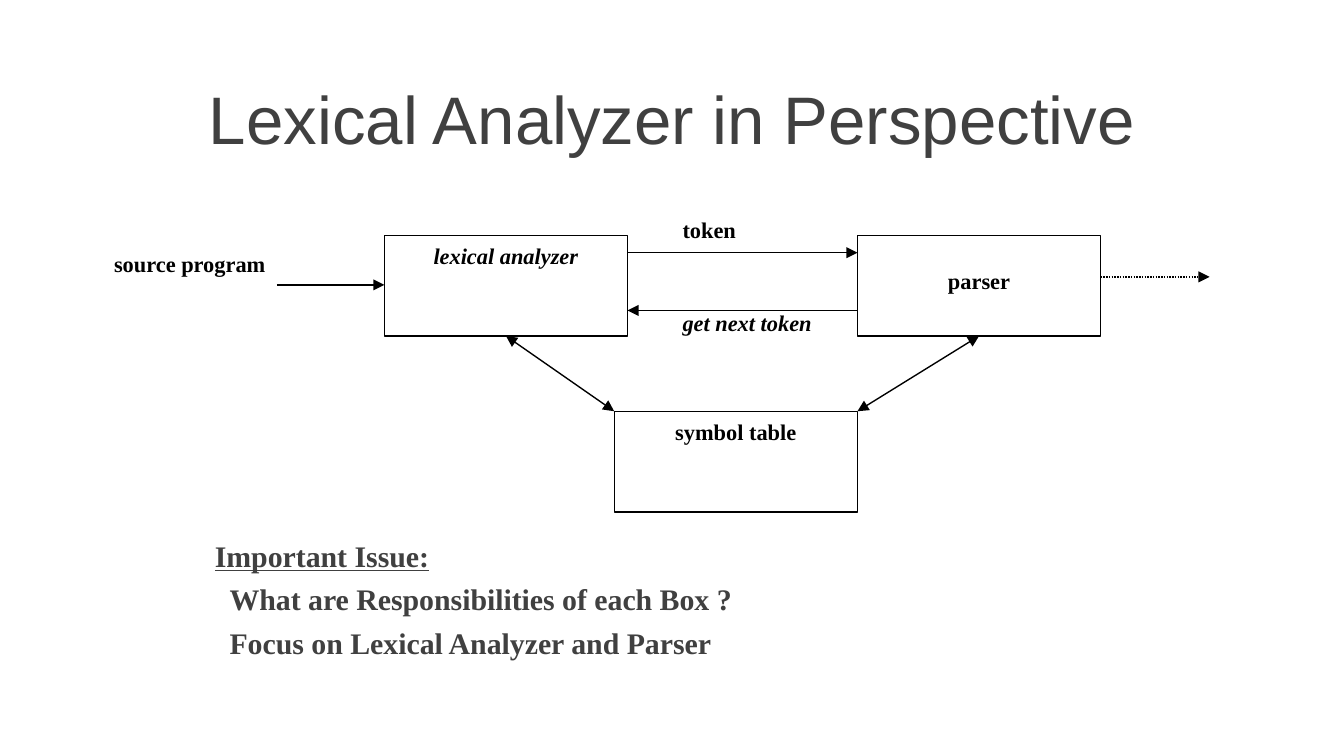
from dataclasses import dataclass

from lxml.etree import SubElement
from pptx import Presentation
from pptx.dml.color import RGBColor
from pptx.enum.dml import MSO_LINE
from pptx.enum.shapes import MSO_CONNECTOR, MSO_SHAPE
from pptx.enum.text import PP_ALIGN
from pptx.oxml.ns import qn
from pptx.slide import Slide
from pptx.util import Inches, Pt

COLORS = {"ink": "000000", "text": "404040"}
BOX_WIDTH, BOX_HEIGHT, LABEL_HEIGHT = 1.81, 0.75, 0.3
LEXER_LEFT, TABLE_LEFT, PARSER_LEFT = 2.86, 4.57, 6.38
TOP_ROW, TABLE_TOP = 1.75, 3.06
LEXER_RIGHT = LEXER_LEFT + BOX_WIDTH
PARSER_RIGHT = PARSER_LEFT + BOX_WIDTH
TOP_ROW_BOTTOM = TOP_ROW + BOX_HEIGHT
LABEL_FONT = {"name": "Times New Roman", "size": Pt(12), "bold": True}
ISSUE_FONT = LABEL_FONT | {"size": Pt(16)}
TITLE_FONT = {"name": "Arial", "size": Pt(36)}


@dataclass(frozen=True)
class Box:
    left: float
    top: float
    label: str
    label_offset: float = 0
    italic: bool = False


@dataclass(frozen=True)
class Label:
    text: str
    left: float
    top: float
    width: float
    italic: bool = False


@dataclass(frozen=True)
class Arrow:
    start: tuple[float, float]
    end: tuple[float, float]
    double: bool = False
    dotted: bool = False


@dataclass(frozen=True)
class Line:
    text: str
    font: dict
    color: str = "ink"
    align: PP_ALIGN = PP_ALIGN.LEFT
    indent: float = 0
    spacing: float = 1
    before: float = 0


BOXES = [
    Box(LEXER_LEFT, TOP_ROW, "lexical analyzer", italic=True),
    Box(PARSER_LEFT, TOP_ROW, "parser", label_offset=0.19),
    Box(TABLE_LEFT, TABLE_TOP, "symbol table"),
]
LABELS = [
    Label("source program", 0.75, 1.81, 1.71),
    Label("token", 4.98, 1.56, 1.01),
    Label("get next token", 4.98, 2.25, 1.31, italic=True),
]
ARROWS = [
    Arrow((LEXER_RIGHT, 1.88), (PARSER_LEFT, 1.88)),
    Arrow((PARSER_LEFT, 2.31), (LEXER_RIGHT, 2.31)),
    Arrow((PARSER_LEFT, TABLE_TOP), (PARSER_LEFT + BOX_WIDTH / 2, TOP_ROW_BOTTOM), double=True),
    Arrow((TABLE_LEFT, TABLE_TOP), (LEXER_LEFT + BOX_WIDTH / 2, TOP_ROW_BOTTOM), double=True),
    Arrow((2.06, 2.12), (LEXER_LEFT, 2.12)),
    Arrow((PARSER_RIGHT, 2.06), (9, 2.06), dotted=True),
]
ISSUES = [
    Line("Important Issue:", ISSUE_FONT | {"underline": True}, "text", spacing=0.8),
    Line("What are Responsibilities of each Box ?", ISSUE_FONT, "text", indent=0.11, spacing=0.8, before=8),
    Line("Focus on Lexical Analyzer and Parser", ISSUE_FONT, "text", indent=0.11, spacing=0.8, before=8),
]


def rgb(name: str) -> RGBColor:
    """Look up a named colour."""
    return RGBColor.from_string(COLORS[name])


def add_text(slide: Slide, left: float, top: float, width: float, height: float, lines: list[Line]) -> None:
    """Add a wrapped text box with one paragraph per line."""
    shape = slide.shapes.add_textbox(Inches(left), Inches(top), Inches(width), Inches(height))
    frame = shape.text_frame
    frame.word_wrap = True
    for index, line in enumerate(lines):
        paragraph = frame.add_paragraph() if index else frame.paragraphs[0]
        paragraph.alignment = line.align
        paragraph.line_spacing = line.spacing
        if line.before:
            paragraph.space_before = Pt(line.before)
        if line.indent:
            paragraph._p.get_or_add_pPr().set("marL", str(Inches(line.indent)))
        run = paragraph.add_run()
        run.text = line.text
        for attribute, value in line.font.items():
            setattr(run.font, attribute, value)
        run.font.color.rgb = rgb(line.color)


def add_box(slide: Slide, box: Box) -> None:
    """Draw an outlined box with its centred label."""
    shape = slide.shapes.add_shape(
        MSO_SHAPE.RECTANGLE, Inches(box.left), Inches(box.top), Inches(BOX_WIDTH), Inches(BOX_HEIGHT)
    )
    shape.shadow.inherit = False
    shape.fill.background()
    shape.line.color.rgb = rgb("ink")
    shape.line.width = Pt(0.75)
    line = Line(box.label, LABEL_FONT | {"italic": box.italic}, align=PP_ALIGN.CENTER)
    add_text(slide, box.left, box.top + box.label_offset, BOX_WIDTH, LABEL_HEIGHT, [line])


def add_label(slide: Slide, label: Label) -> None:
    """Add a label beside an arrow."""
    line = Line(label.text, LABEL_FONT | {"italic": label.italic})
    add_text(slide, label.left, label.top, label.width, LABEL_HEIGHT, [line])


def add_arrow(slide: Slide, arrow: Arrow) -> None:
    """Draw a straight arrow with one or two heads."""
    points = [Inches(value) for value in (*arrow.start, *arrow.end)]
    connector = slide.shapes.add_connector(MSO_CONNECTOR.STRAIGHT, *points)
    connector.line.color.rgb = rgb("ink")
    connector.line.width = Pt(0.75)
    if arrow.dotted:
        connector.line.dash_style = MSO_LINE.ROUND_DOT
    outline = connector.line._get_or_add_ln()
    for end in ("a:headEnd", "a:tailEnd") if arrow.double else ("a:tailEnd",):
        SubElement(outline, qn(end), type="triangle")
    SubElement(connector._element.spPr, qn("a:effectLst"))


def main() -> None:
    """Build the slide and save it."""
    presentation = Presentation()
    presentation.slide_width = Inches(10)
    presentation.slide_height = Inches(10 * 9 / 16)
    slide = presentation.slides.add_slide(presentation.slide_layouts[6])
    for box in BOXES:
        add_box(slide, box)
    for arrow in ARROWS:
        add_arrow(slide, arrow)
    for label in LABELS:
        add_label(slide, label)
    add_text(slide, 1.5, 4, 7.58, 1.02, ISSUES)
    title = Line("Lexical Analyzer in Perspective", TITLE_FONT, "text", PP_ALIGN.CENTER)
    add_text(slide, 0, 0.53, 10, 0.63, [title])
    presentation.save("out.pptx")


if __name__ == "__main__":
    main()
